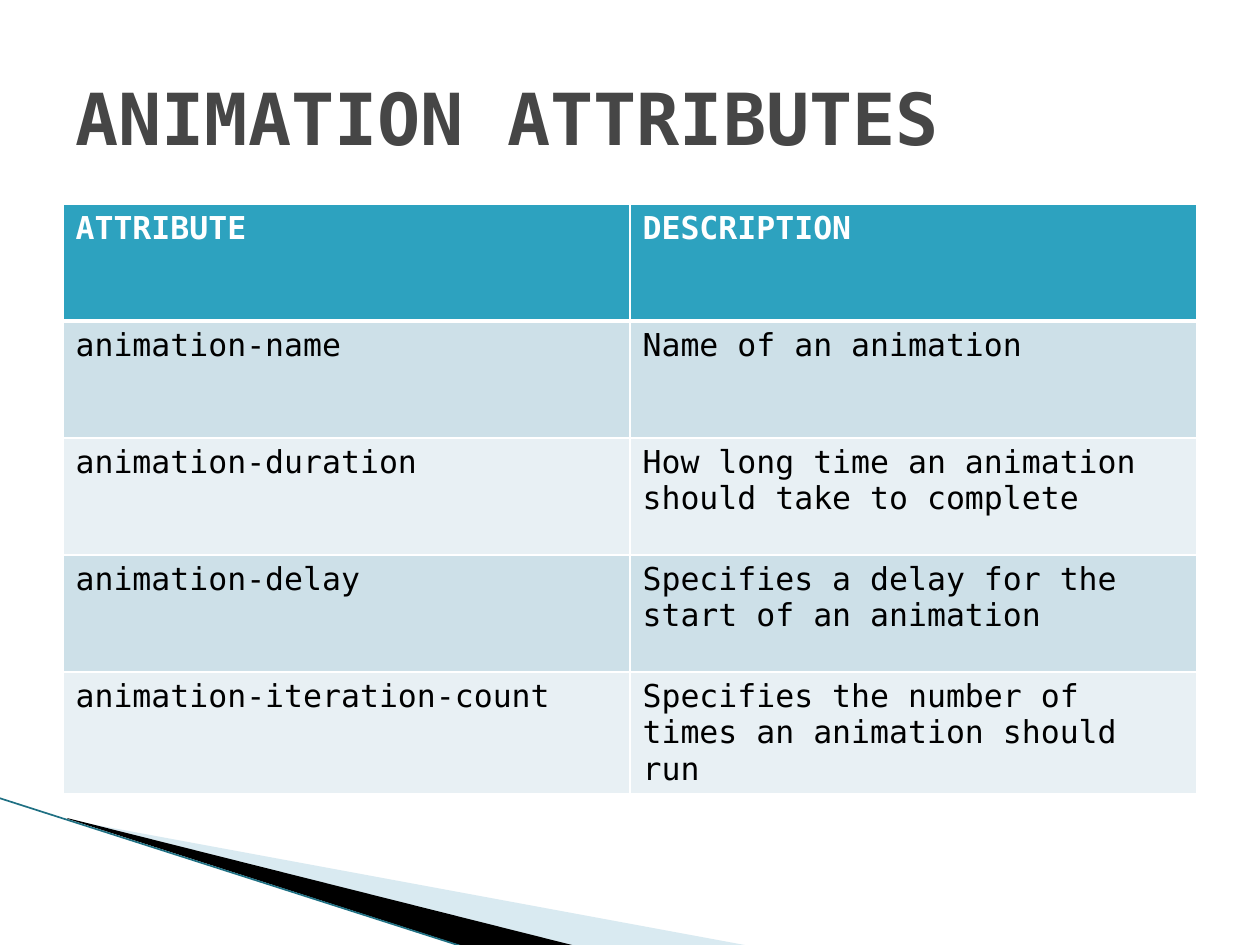
import pptx
import pptx.dml.color
import pptx.enum.shapes
import pptx.enum.text
import pptx.oxml.ns
import pptx.util
from lxml import etree

TITLE = "ANIMATION ATTRIBUTES"
ROWS = [
    ("ATTRIBUTE", "DESCRIPTION"),
    ("animation-name", "Name of an animation"),
    ("animation-duration", "How long time an animation should take to complete"),
    ("animation-delay", "Specifies a delay for the start of an animation"),
    ("animation-iteration-count", "Specifies the number of times an animation should run"),
]
THEME = {
    "font": "DejaVu Sans Mono",
    "title_size": 41,
    "table_size": 18,
    "title": "464646",
    "header": "2DA2BF",
    "bands": ("CDE0E8", "E8F0F4"),
    "white": "FFFFFF",
    "black": "000000",
    "pale_wedge": "A0CBDC",
    "edge": "1F7083",
}
WEDGES = [
    (THEME["pale_wedge"], 40, [(69, 820), (750, 946), (575, 946), (69, 819)]),
    (THEME["black"], 100, [(67, 818), (576, 946), (469, 948), (68, 819)]),
]
EDGE = (-1, 798, 467, 948)
TITLE_BOX = (63, 38, 1134, 157)
TABLE_BOX = (63, 204, 1134, 585)
SLIDE_SIZE = (1260, 945)
SCALE = 914400 / 126


def px(value):
    return pptx.util.Emu(round(value * SCALE))


def rgb(color):
    return pptx.dml.color.RGBColor.from_string(color)


def add_xml(parent, tag, **attributes):
    return etree.SubElement(parent, pptx.oxml.ns.qn(tag), attributes)


def write(text_frame, text, size, color, bold):
    paragraph = text_frame.paragraphs[0]
    run = paragraph.add_run()
    run.text = text
    formats = {"name": THEME["font"], "size": pptx.util.Pt(size), "bold": bold}
    for name, value in formats.items():
        setattr(run.font, name, value)
    run.font.color.rgb = rgb(color)


def add_wedge(slide, color, opacity, points):
    builder = slide.shapes.build_freeform(*points[0], scale=SCALE)
    builder.add_line_segments(points[1:], close=True)
    shape = builder.convert_to_shape()
    shape.shadow.inherit = False
    shape.line.fill.background()
    shape.fill.solid()
    shape.fill.fore_color.rgb = rgb(color)
    if opacity < 100:
        color_element = shape.fill._xPr.find(".//" + pptx.oxml.ns.qn("a:srgbClr"))
        add_xml(color_element, "a:alpha", val=str(opacity * 1000))


def add_edge(slide):
    connector = slide.shapes.add_connector(
        pptx.enum.shapes.MSO_CONNECTOR.STRAIGHT, *map(px, EDGE)
    )
    connector.line.color.rgb = rgb(THEME["edge"])
    connector.line.width = pptx.util.Pt(0.95)
    add_xml(connector._element.spPr, "a:effectLst")


def add_borders(cell, widths):
    properties = cell._tc.get_or_add_tcPr()
    for side, width in widths.items():
        line = add_xml(properties, "a:ln" + side, w=str(pptx.util.Pt(width)))
        fill = add_xml(line, "a:solidFill")
        add_xml(fill, "a:srgbClr", val=THEME["white"])


def add_table(slide):
    table = slide.shapes.add_table(len(ROWS), len(ROWS[0]), *map(px, TABLE_BOX)).table
    for row_index, row in enumerate(ROWS):
        header = row_index == 0
        fill = THEME["header"] if header else THEME["bands"][(row_index - 1) % 2]
        color = THEME["white"] if header else THEME["black"]
        widths = {"L": 1, "R": 1, "T": 3 if row_index == 1 else 1, "B": 3 if header else 1}
        for column_index, text in enumerate(row):
            cell = table.cell(row_index, column_index)
            add_borders(cell, widths)
            cell.fill.solid()
            cell.fill.fore_color.rgb = rgb(fill)
            write(cell.text_frame, text, THEME["table_size"], color, header)


def add_title(slide):
    text_frame = slide.shapes.add_textbox(*map(px, TITLE_BOX)).text_frame
    text_frame.word_wrap = True
    text_frame.vertical_anchor = pptx.enum.text.MSO_ANCHOR.MIDDLE
    write(text_frame, TITLE, THEME["title_size"], THEME["title"], True)


def main():
    presentation = pptx.Presentation()
    presentation.slide_width, presentation.slide_height = map(px, SLIDE_SIZE)
    slide = presentation.slides.add_slide(presentation.slide_layouts[6])
    for wedge in WEDGES:
        add_wedge(slide, *wedge)
    add_edge(slide)
    add_table(slide)
    add_title(slide)
    presentation.save("out.pptx")


if __name__ == "__main__":
    main()
